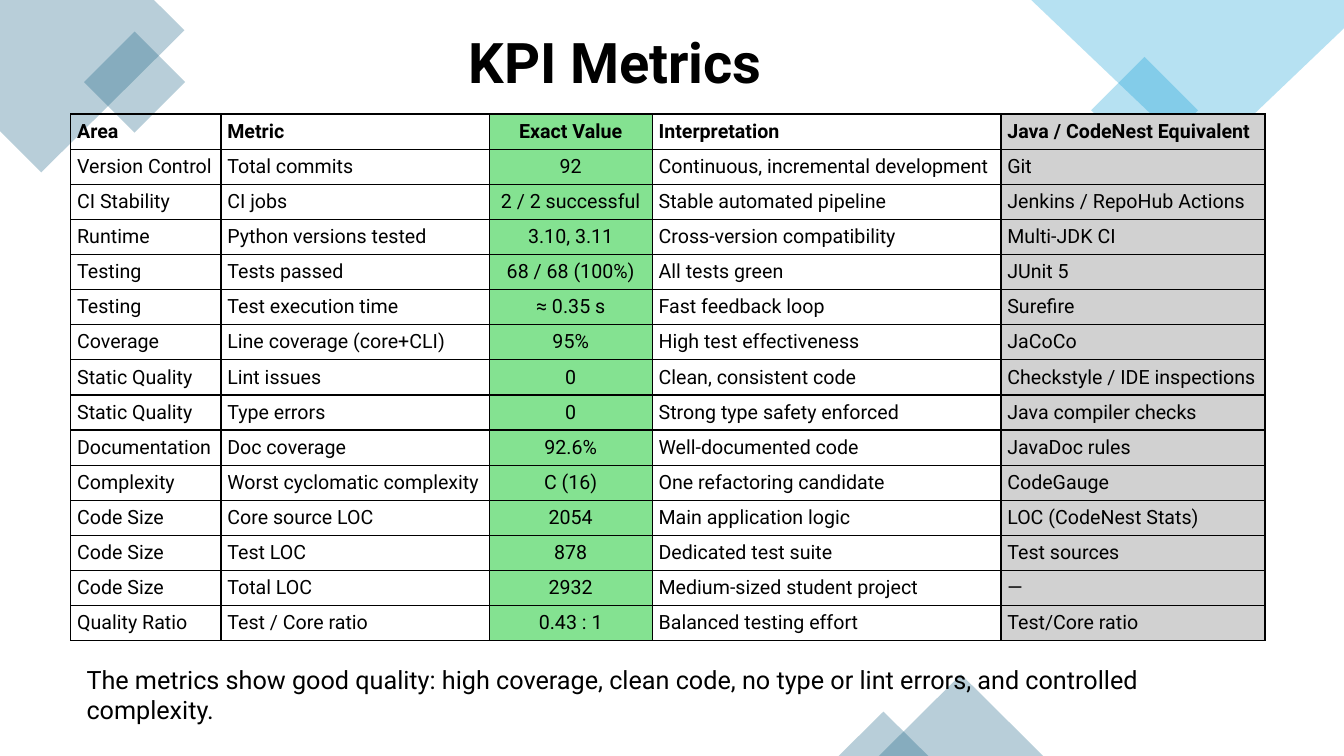
from dataclasses import dataclass

from lxml import etree
from pptx import Presentation
from pptx import util as u
from pptx.dml.color import RGBColor
from pptx.enum import shapes, text
from pptx.oxml import ns
from pptx.shapes.autoshape import Shape
from pptx.slide import Slide
from pptx.table import _Cell as Cell
from pptx.text.text import _Paragraph as Paragraph


@dataclass(frozen=True)
class Theme:
    """Colours, font and type sizes of the slide."""
    font: str = "Roboto"
    ink: str = "000000"
    teal: str = "156082"
    sky: str = "0F9ED5"
    green: str = "84E291"
    grey: str = "D1D1D1"
    opacity: int = 30
    title_size: int = 40
    note_size: int = 18
    table_size: int = 14


@dataclass(frozen=True)
class Corner:
    """A polygon cut off by the slide edge."""
    points: tuple[tuple[float, float], ...]
    colour: str


@dataclass(frozen=True)
class Ornament:
    """A translucent preset shape."""
    kind: shapes.MSO_SHAPE
    left: float
    top: float
    width: float
    height: float
    colour: str
    rotation: float = 0


@dataclass(frozen=True)
class Column:
    """Width, fill and alignment of a table column."""
    width: float
    fill: str | None = None
    align: text.PP_ALIGN = text.PP_ALIGN.LEFT


@dataclass(frozen=True)
class Label:
    """A free-standing line of text."""
    words: str
    left: float
    top: float
    width: float
    height: float
    size: int
    bold: bool = False


THEME = Theme()
SQUARE = shapes.MSO_SHAPE.RECTANGLE
TRIANGLE = shapes.MSO_SHAPE.ISOSCELES_TRIANGLE

DECORATIONS = (
    Corner(((110, 0), (0, 0), (0, 93.6), (29.5, 123.1), (131.8, 21.6)), THEME.teal),
    Ornament(SQUARE, 70.6, 33.1, 51.1, 51.1, THEME.teal, 315),
    Ornament(SQUARE, 790.6, 51.8, 54, 54, THEME.sky, 315),
    Corner(((960, 0), (736.6, 0), (859, 116.6), (960, 20.2)), THEME.sky),
    Ornament(TRIANGLE, 627.8, 481.7, 117.4, 58.3, THEME.teal),
    Ornament(TRIANGLE, 599, 508.3, 64.1, 31.7, THEME.teal),
)

COLUMNS = (
    Column(107.3),
    Column(191.5),
    Column(116.6, THEME.green, text.PP_ALIGN.CENTER),
    Column(249.1),
    Column(188.6, THEME.grey),
)
TABLE_LEFT, TABLE_TOP, ROW_HEIGHT = 50.6, 81.4, 25.1

METRICS = (
    ("Area", "Metric", "Exact Value", "Interpretation", "Java / CodeNest Equivalent"),
    ("Version Control", "Total commits", "92", "Continuous, incremental development", "Git"),
    ("CI Stability", "CI jobs", "2 / 2 successful", "Stable automated pipeline", "Jenkins / RepoHub Actions"),
    ("Runtime", "Python versions tested", "3.10, 3.11", "Cross-version compatibility", "Multi-JDK CI"),
    ("Testing", "Tests passed", "68 / 68 (100%)", "All tests green", "JUnit 5"),
    ("Testing", "Test execution time", "≈ 0.35 s", "Fast feedback loop", "Surefire"),
    ("Coverage", "Line coverage (core+CLI)", "95%", "High test effectiveness", "JaCoCo"),
    ("Static Quality", "Lint issues", "0", "Clean, consistent code", "Checkstyle / IDE inspections"),
    ("Static Quality", "Type errors", "0", "Strong type safety enforced", "Java compiler checks"),
    ("Documentation", "Doc coverage", "92.6%", "Well-documented code", "JavaDoc rules"),
    ("Complexity", "Worst cyclomatic complexity", "C (16)", "One refactoring candidate", "CodeGauge"),
    ("Code Size", "Core source LOC", "2054", "Main application logic", "LOC (CodeNest Stats)"),
    ("Code Size", "Test LOC", "878", "Dedicated test suite", "Test sources"),
    ("Code Size", "Total LOC", "2932", "Medium-sized student project", "—"),
    ("Quality Ratio", "Test / Core ratio", "0.43 : 1", "Balanced testing effort", "Test/Core ratio"),
)

LABELS = (
    Label("The metrics show good quality: high coverage, clean code, no type or lint errors, "
          "and controlled complexity.", 54.7, 470.9, 857.5, 29, THEME.note_size),
    Label("KPI Metrics", 327.6, 15.8, 298.8, 55.4, THEME.title_size, True),
)


def style_paragraph(paragraph: Paragraph, size: int, bold: bool) -> None:
    """Set the font of a whole paragraph."""
    paragraph.font.name = THEME.font
    paragraph.font.size = u.Pt(size)
    paragraph.font.bold = bold
    paragraph.font.color.rgb = RGBColor.from_string(THEME.ink)


def paint_translucent(shape: Shape, colour: str) -> None:
    """Give a shape a see-through fill without line or shadow."""
    shape.shadow.inherit = False
    shape.line.fill.background()
    shape.fill.solid()
    shape.fill.fore_color.rgb = RGBColor.from_string(colour)
    colour_element = shape._element.spPr.find(".//" + ns.qn("a:srgbClr"))
    etree.SubElement(colour_element, ns.qn("a:alpha"), val=str(THEME.opacity * 1000))


def draw_decoration(slide: Slide, item: Corner | Ornament) -> None:
    """Draw one corner polygon or ornament."""
    if isinstance(item, Corner):
        start, *others = [(u.Pt(x), u.Pt(y)) for x, y in item.points]
        builder = slide.shapes.build_freeform(*start)
        builder.add_line_segments(others, close=True)
        shape = builder.convert_to_shape()
    else:
        box = (u.Pt(side) for side in (item.left, item.top, item.width, item.height))
        shape = slide.shapes.add_shape(item.kind, *box)
        shape.rotation = item.rotation
    paint_translucent(shape, item.colour)


def add_borders(cell: Cell) -> None:
    """Draw a thin line on all four sides of a cell."""
    properties = cell._tc.get_or_add_tcPr()
    for position, side in enumerate(("lnL", "lnR", "lnT", "lnB")):
        line = etree.Element(ns.qn(f"a:{side}"), w=str(u.Pt(1)))
        fill = etree.SubElement(line, ns.qn("a:solidFill"))
        etree.SubElement(fill, ns.qn("a:srgbClr"), val=THEME.ink)
        properties.insert(position, line)


def fill_cell(cell: Cell, words: str, column: Column, bold: bool) -> None:
    """Write and format one table cell."""
    cell.text = words
    cell.vertical_anchor = text.MSO_ANCHOR.MIDDLE
    cell.margin_left = cell.margin_right = u.Pt(4.5)
    cell.margin_top = cell.margin_bottom = u.Pt(2.25)
    if column.fill:
        cell.fill.solid()
        cell.fill.fore_color.rgb = RGBColor.from_string(column.fill)
    else:
        cell.fill.background()
    paragraph = cell.text_frame.paragraphs[0]
    paragraph.alignment = column.align
    style_paragraph(paragraph, THEME.table_size, bold)
    add_borders(cell)


def draw_metrics(slide: Slide) -> None:
    """Draw the table of metrics."""
    width = sum(column.width for column in COLUMNS)
    frame = slide.shapes.add_table(len(METRICS), len(COLUMNS), u.Pt(TABLE_LEFT), u.Pt(TABLE_TOP),
                                   u.Pt(width), u.Pt(ROW_HEIGHT * len(METRICS)))
    table = frame.table
    table.first_row = table.horz_banding = False
    for index, column in enumerate(COLUMNS):
        table.columns[index].width = u.Pt(column.width)
    for row_index, row in enumerate(METRICS):
        table.rows[row_index].height = u.Pt(ROW_HEIGHT)
        for index, (words, column) in enumerate(zip(row, COLUMNS)):
            fill_cell(table.cell(row_index, index), words, column, bold=row_index == 0)


def draw_label(slide: Slide, label: Label) -> None:
    """Draw one text box."""
    box = slide.shapes.add_textbox(u.Pt(label.left), u.Pt(label.top), u.Pt(label.width), u.Pt(label.height))
    box.text_frame.word_wrap = True
    box.text_frame.text = label.words
    style_paragraph(box.text_frame.paragraphs[0], label.size, label.bold)


def main() -> None:
    """Build and save the slide."""
    presentation = Presentation()
    presentation.slide_width, presentation.slide_height = u.Pt(960), u.Pt(540)
    slide = presentation.slides.add_slide(presentation.slide_layouts[6])
    for item in DECORATIONS:
        draw_decoration(slide, item)
    draw_metrics(slide)
    for label in LABELS:
        draw_label(slide, label)
    presentation.save("out.pptx")


if __name__ == "__main__":
    main()
